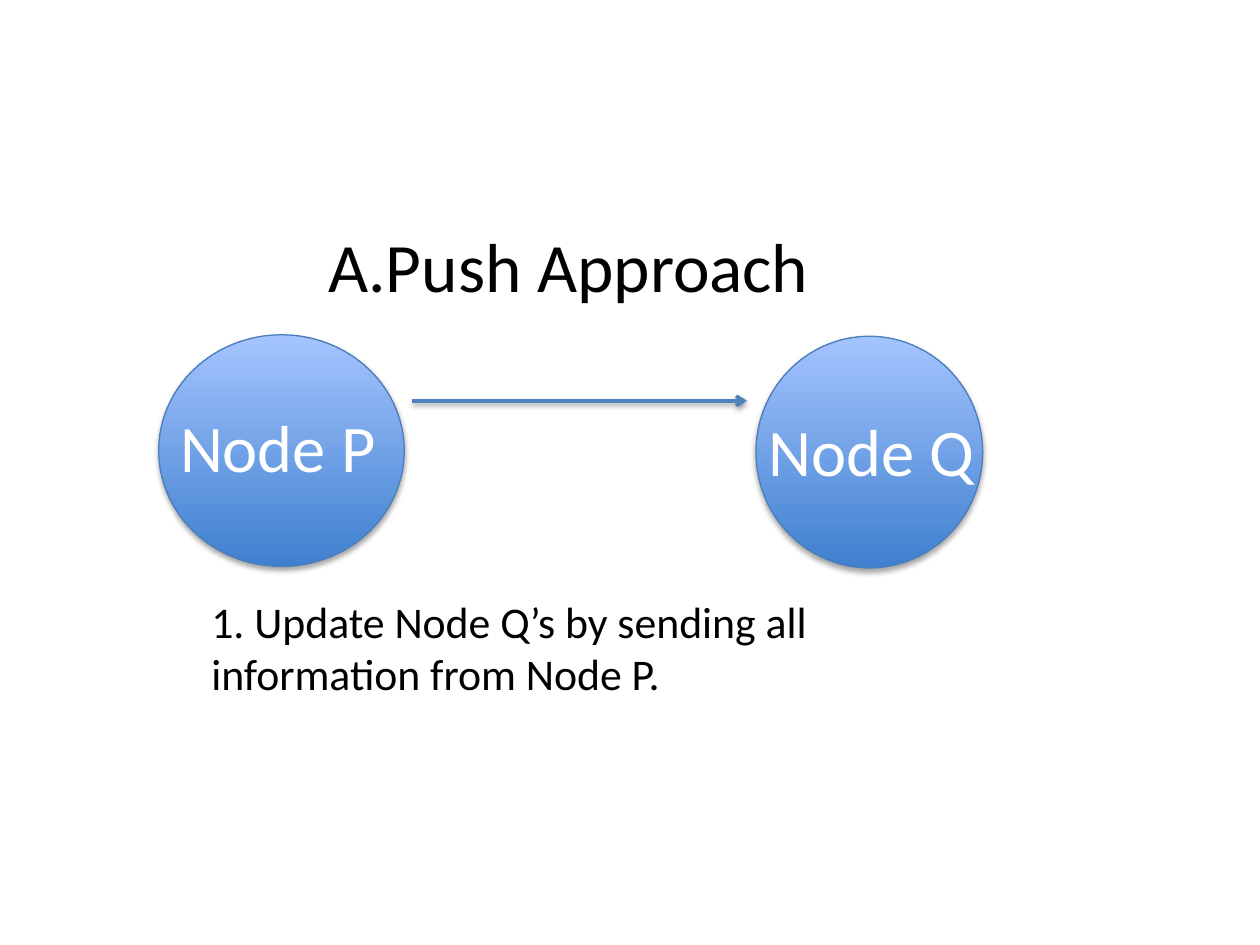
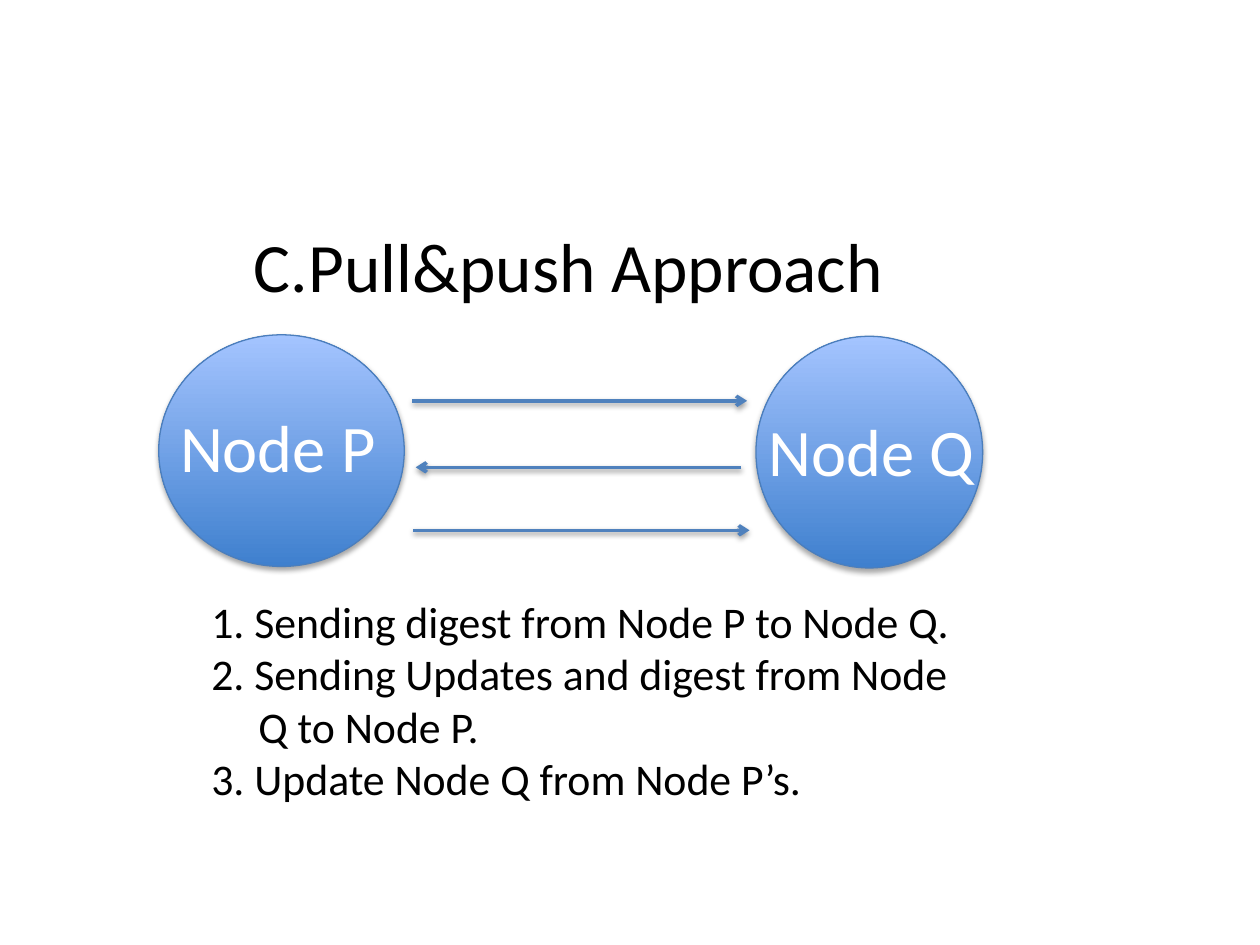
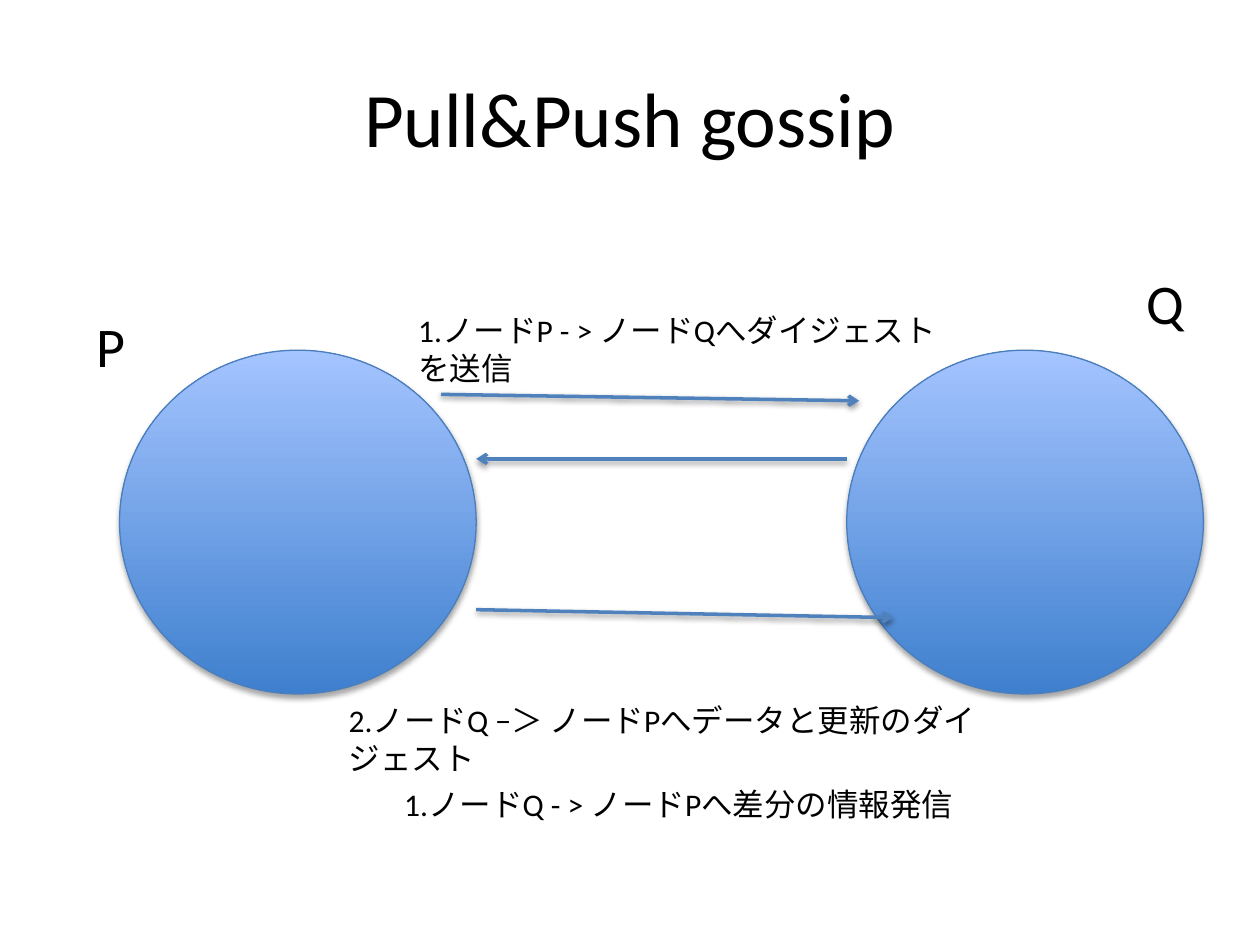
"""Build three slides that show how gossip nodes push and pull updates."""
import dataclasses

import lxml.etree
import pptx
import pptx.dml.color
import pptx.enum.shapes
import pptx.enum.text
import pptx.oxml.ns
import pptx.slide
import pptx.util

Cm = pptx.util.Cm
Pt = pptx.util.Pt
Slide = pptx.slide.Slide
qn = pptx.oxml.ns.qn

FONT = "Calibri"
COLORS = {
    "ink": "000000",
    "light": "FFFFFF",
    "base": "3F80CE",
    "top": "A4C4FF",
    "edge": "4B7EBC",
    "arrow": "4F81BD",
}


@dataclasses.dataclass(frozen=True)
class Box:
    left: float
    top: float
    width: float
    height: float

    def sides(self) -> list[int]:
        return [Cm(side) for side in dataclasses.astuple(self)]


@dataclasses.dataclass(frozen=True)
class Arrow:
    x1: float
    y1: float
    x2: float
    y2: float


@dataclasses.dataclass(frozen=True)
class Note:
    text: str
    box: Box
    size: float = 18


@dataclasses.dataclass(frozen=True)
class Plan:
    title: str
    body: Note
    arrows: list[Arrow]
    hang: float = 0


NODES = [Box(3.2, 6.75, 4.95, 4.67), Box(15.24, 6.78, 4.57, 4.67)]
LABELS = [
    Note("Node P", Box(3.38, 8.05, 5.16, 1.88), 38),
    Note("Node Q", Box(15.24, 8.13, 5.16, 1.88), 38),
]
HEAD = Box(0.03, 4.5, 22.86, 3.18)
SEND = Arrow(8.31, 8.08, 15.06, 8.08)

PLANS = [
    Plan(
        "A.Push Approach",
        Note("1. Update Node Q’s by sending all information from Node P.",
             Box(4.01, 11.86, 16.59, 2.39), 25),
        [SEND],
    ),
    Plan(
        "C.Pull&push Approach",
        Note("1. Sending digest from Node P to Node Q.\n"
             "2. Sending Updates and digest from Node Q to Node P.\n"
             "3. Update Node Q from Node P’s.",
             Box(4.01, 11.86, 15.49, 6.68), 25),
        [SEND, Arrow(14.94, 9.42, 8.38, 9.42), Arrow(8.33, 10.69, 15.11, 10.69)],
        hang=0.95,
    ),
]

GOSSIP_NODES = [Box(left, 7.06, 7.19, 6.93) for left in (2.41, 17.07)]
GOSSIP_ARROWS = [
    Arrow(8.89, 7.95, 17.32, 8.08),
    Arrow(17.07, 9.25, 9.6, 9.25),
    Arrow(9.6, 12.29, 18.01, 12.45),
]
GOSSIP_NOTES = [
    Note("P", Box(1.7, 6.15, 5.33, 1.63), 32),
    Note("Q", Box(22.86, 5.28, 2.54, 1.63), 32),
    Note("1.ノードP - > ノードQへダイジェストを送信", Box(8.18, 6.15, 11.33, 1.02)),
    Note("1.ノードQ - > ノードPへ差分の情報発信", Box(7.9, 15.7, 11.58, 1.02)),
    Note("2.ノードQ −＞ ノードPへデータと更新のダイジェスト", Box(6.78, 14, 14.17, 1.02)),
]


def color(name: str) -> pptx.dml.color.RGBColor:
    return pptx.dml.color.RGBColor.from_string(COLORS[name])


def write(slide: Slide, text: str, box: Box, *, size: float, ink: str = "ink",
          align: str = "LEFT", anchor: str = "TOP", pad: float = 0.13,
          hang: float = 0, grow: bool = True) -> None:
    frame = slide.shapes.add_textbox(*box.sides()).text_frame
    frame.word_wrap = True
    frame.margin_top = Cm(pad)
    frame.vertical_anchor = pptx.enum.text.MSO_ANCHOR[anchor]
    fit = pptx.enum.text.MSO_AUTO_SIZE
    frame.auto_size = fit.SHAPE_TO_FIT_TEXT if grow else fit.NONE
    frame.text = text
    for line in frame.paragraphs:
        line.alignment = pptx.enum.text.PP_ALIGN[align]
        line.font.name = FONT
        line.font.size = Pt(size)
        line.font.color.rgb = color(ink)
        if hang:
            props = line._p.get_or_add_pPr()
            props.set("marL", str(Cm(hang)))
            props.set("indent", str(-Cm(hang)))


def shade(props: lxml.etree._Element, alpha: int, drop: float) -> None:
    effects = lxml.etree.SubElement(props, qn("a:effectLst"))
    outer = lxml.etree.SubElement(
        effects, qn("a:outerShdw"), blurRad=str(Pt(3.1)), dist=str(Pt(drop)),
        dir="5400000", rotWithShape="0")
    tone = lxml.etree.SubElement(outer, qn("a:srgbClr"), val=COLORS["ink"])
    lxml.etree.SubElement(tone, qn("a:alpha"), val=str(alpha * 1000))


def draw_node(slide: Slide, box: Box) -> None:
    node = slide.shapes.add_shape(pptx.enum.shapes.MSO_SHAPE.OVAL, *box.sides())
    node.fill.gradient()
    node.fill.gradient_angle = 90
    for stop, name, place in zip(node.fill.gradient_stops, ("base", "top"), (0, 1)):
        stop.color.rgb = color(name)
        stop.position = place
    node.line.color.rgb = color("edge")
    node.line.width = Pt(0.75)
    shade(node._element.spPr, 35, 1.8)


def draw_arrow(slide: Slide, arrow: Arrow) -> None:
    ends = [Cm(end) for end in dataclasses.astuple(arrow)]
    link = slide.shapes.add_connector(pptx.enum.shapes.MSO_CONNECTOR.STRAIGHT, *ends)
    link.line.color.rgb = color("arrow")
    link.line.width = Pt(2)
    props = link._element.spPr
    lxml.etree.SubElement(props.find(qn("a:ln")), qn("a:tailEnd"), type="arrow")
    shade(props, 38, 1.6)


def draw_graph(slide: Slide, nodes: list[Box], arrows: list[Arrow]) -> None:
    for node in nodes:
        draw_node(slide, node)
    for arrow in arrows:
        draw_arrow(slide, arrow)


def draw_plan(slide: Slide, plan: Plan) -> None:
    draw_graph(slide, NODES, plan.arrows)
    write(slide, plan.body.text, plan.body.box, size=plan.body.size, hang=plan.hang)
    write(slide, plan.title, HEAD, size=39.6, align="CENTER", pad=0, grow=False)
    for label in LABELS:
        write(slide, label.text, label.box, size=label.size, ink="light")


def draw_gossip(slide: Slide) -> None:
    draw_graph(slide, GOSSIP_NODES, GOSSIP_ARROWS)
    for note in GOSSIP_NOTES:
        write(slide, note.text, note.box, size=note.size)
    write(slide, "Pull&Push gossip", Box(1.27, 0.76, 22.86, 3.18), size=44,
          align="CENTER", anchor="MIDDLE", grow=False)


def main() -> None:
    deck = pptx.Presentation()
    deck.slide_width, deck.slide_height = Cm(25.4), Cm(19.05)
    blank = deck.slide_layouts[6]
    for plan in PLANS:
        draw_plan(deck.slides.add_slide(blank), plan)
    draw_gossip(deck.slides.add_slide(blank))
    deck.save("out.pptx")


if __name__ == "__main__":
    main()
